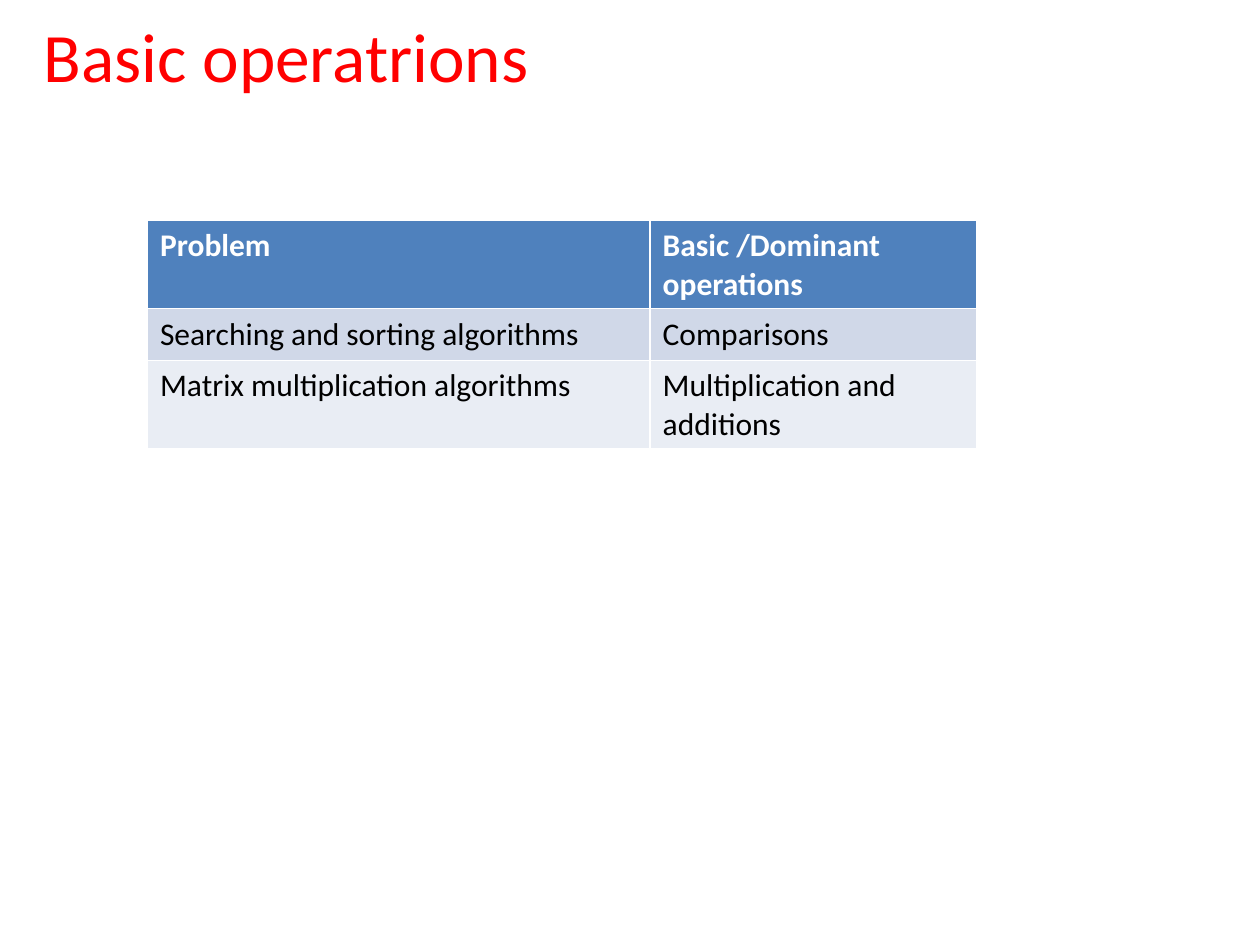
from pptx import Presentation
from pptx.dml.color import RGBColor
from pptx.enum import text
from pptx.util import Inches, Pt

FONT = "Calibri"
COL_WIDTHS = (3.99, 2.59)
# height, fill, font colour, bold, cell texts
ROWS = (
    (0.7, "4F81BD", "FFFFFF", True, ("Problem", "Basic /Dominant operations")),
    (0.41, "D0D8E8", "000000", False,
     ("Searching and sorting algorithms", "Comparisons")),
    (0.7, "E9EDF4", "000000", False,
     ("Matrix multiplication algorithms", "Multiplication and additions")),
)


def color(value):
    return RGBColor.from_string(value)


def add_run(p, words, size, font_color, bold=False):
    r = p.add_run()
    r.text = words
    r.font.name = FONT
    r.font.size = Pt(size)
    r.font.bold = bold
    r.font.color.rgb = color(font_color)


def add_title(s, words):
    sp = s.shapes.add_textbox(Inches(0.25), Inches(0.06), Inches(9), Inches(0.75))
    tf = sp.text_frame
    tf.word_wrap = True
    tf.vertical_anchor = text.MSO_ANCHOR.MIDDLE
    add_run(tf.paragraphs[0], words, 39.6, "FF0000")


def add_operations_table(s):
    """Cell borders come from the default table style: white, thicker below the header."""
    width = sum(COL_WIDTHS)
    height = sum(row[0] for row in ROWS)
    table = s.shapes.add_table(len(ROWS), len(COL_WIDTHS), Inches(1.17), Inches(1.75),
                               Inches(width), Inches(height)).table
    for column, col_width in zip(table.columns, COL_WIDTHS):
        column.width = Inches(col_width)
    for row, (row_height, fill, font_color, bold, words) in zip(table.rows, ROWS):
        row.height = Inches(row_height)
        for cell, cell_text in zip(row.cells, words):
            cell.fill.solid()
            cell.fill.fore_color.rgb = color(fill)
            add_run(cell.text_frame.paragraphs[0], cell_text, 18, font_color, bold)


def main():
    prs = Presentation()
    prs.slide_width, prs.slide_height = Inches(10), Inches(7.5)
    s = prs.slides.add_slide(prs.slide_layouts[6])
    add_title(s, "Basic operatrions")
    add_operations_table(s)
    prs.save("out.pptx")


if __name__ == "__main__":
    main()
